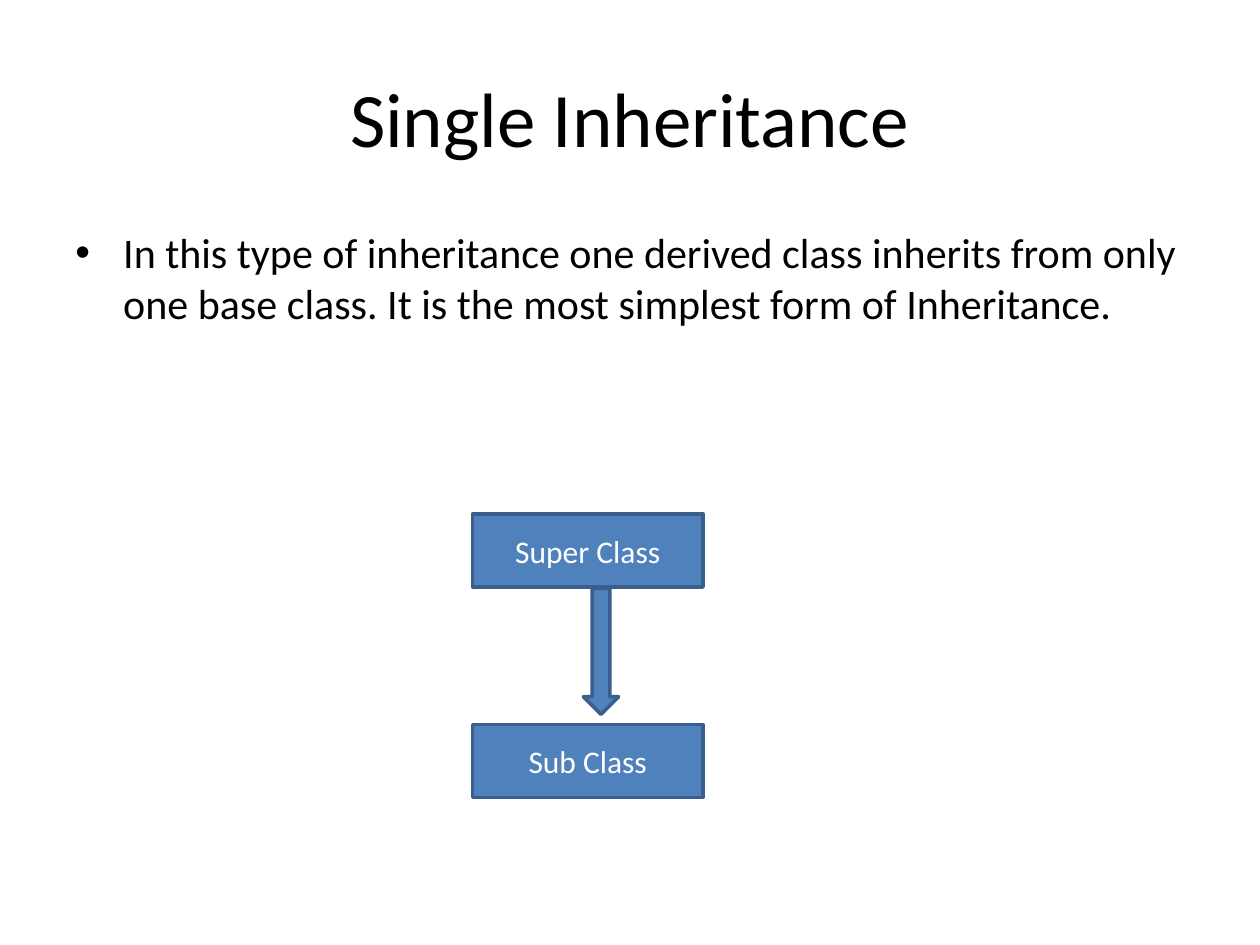
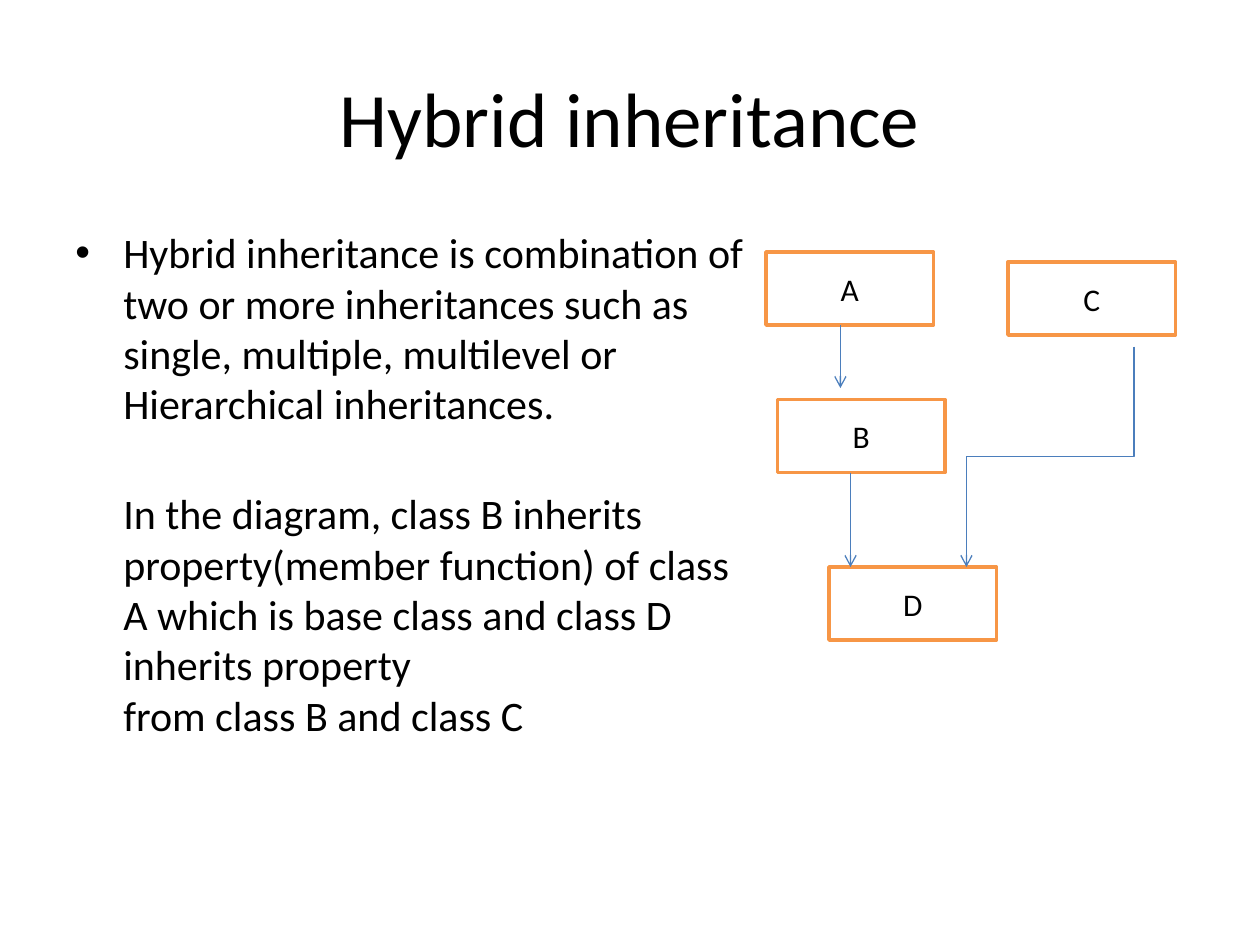
from lxml import etree
from pptx import Presentation
from pptx.dml.color import RGBColor
from pptx.enum.shapes import MSO_CONNECTOR, MSO_SHAPE
from pptx.enum.text import MSO_ANCHOR, PP_ALIGN
from pptx.oxml.ns import qn
from pptx.util import Inches, Pt

RECTANGLE, DOWN_ARROW = MSO_SHAPE.RECTANGLE, MSO_SHAPE.DOWN_ARROW
STRAIGHT, ELBOW = MSO_CONNECTOR.STRAIGHT, MSO_CONNECTOR.ELBOW
CENTER, LEFT = PP_ALIGN.CENTER, PP_ALIGN.LEFT
MIDDLE, TOP = MSO_ANCHOR.MIDDLE, MSO_ANCHOR.TOP

BLACK = RGBColor(0x00, 0x00, 0x00)
WHITE = RGBColor(0xFF, 0xFF, 0xFF)
BLUE = RGBColor(0x4F, 0x81, 0xBD)
DARK_BLUE = RGBColor(0x3A, 0x5F, 0x8C)
LINK_BLUE = RGBColor(0x4B, 0x7E, 0xBC)
ORANGE = RGBColor(0xF7, 0x96, 0x46)

# Shared styles
FONT = "Calibri"
TITLE_AREA = (0.5, 0.3, 9, 1.25)
BODY_LEFT, BODY_TOP, BODY_HEIGHT = 0.5, 1.75, 4.95
BODY_INDENT = 0.38
PARAGRAPH_GAP = 34
BOX_HEIGHT = 0.58
FILLED = {"fill": BLUE, "line": DARK_BLUE, "text": WHITE}
OUTLINED = {"fill": WHITE, "line": ORANGE, "text": BLACK}

# Content: boxes are (label, left, top); links run from point to point
SLIDES = [
    {
        "title": "Single Inheritance",
        "body_width": 9,
        "body": ["In this type of inheritance one derived class inherits from only "
                 "one base class. It is the most simplest form of Inheritance."],
        "style": FILLED,
        "box_width": 1.83,
        "boxes": [("Super Class", 3.75, 4.08), ("Sub Class", 3.75, 5.75)],
        "block_arrows": [(4.63, 4.67, 0.28, 1)],
        "links": [],
    },
    {
        "title": "Hybrid inheritance",
        "body_width": 5.58,
        "body": ["Hybrid inheritance is combination of two or more inheritances such as "
                 "single, multiple, multilevel or Hierarchical inheritances.",
                 "In the diagram, class B inherits property(member function) of class A "
                 "which is base class and class D inherits property\n"
                 "from class B and class C"],
        "style": OUTLINED,
        "box_width": 1.33,
        "boxes": [("A", 6.08, 2), ("B", 6.17, 3.17), ("D", 6.58, 4.5), ("C", 8, 2.08)],
        "block_arrows": [],
        "links": [((6.67, 2.58), (6.67, 3.08)),
                  ((6.75, 3.75), (6.75, 4.5)),
                  ((9, 2.75), (7.67, 4.5))],
    },
]


def write(frame, paragraphs, size, color, align=CENTER, anchor=MIDDLE):
    frame.word_wrap = True
    frame.vertical_anchor = anchor
    for number, text in enumerate(paragraphs):
        para = frame.add_paragraph() if number else frame.paragraphs[0]
        para.alignment = align
        para.space_before = Pt(PARAGRAPH_GAP if number else 0)
        for row, line in enumerate(text.split("\n")):
            if row:
                para.add_line_break()
            span = para.add_run()
            span.text = line
            formats = {"name": FONT, "size": Pt(size)}
            for name, value in formats.items():
                setattr(span.font, name, value)
            span.font.color.rgb = color


def add_text(page, area, *args, **formats):
    box = page.shapes.add_textbox(*map(Inches, area))
    write(box.text_frame, *args, **formats)
    return box


def add_body(page, width, paragraphs):
    area = (BODY_LEFT, BODY_TOP, width, BODY_HEIGHT)
    box = add_text(page, area, paragraphs, 24, BLACK, align=LEFT, anchor=TOP)
    # Only the first paragraph has a bullet; the rest align with its text
    for number, para in enumerate(box.text_frame.paragraphs):
        properties = para._p.get_or_add_pPr()
        properties.set("marL", str(Inches(BODY_INDENT)))
        properties.set("indent", str(0 if number else -Inches(BODY_INDENT)))
        if number == 0:
            etree.SubElement(properties, qn("a:buFont"), typeface="Arial")
            etree.SubElement(properties, qn("a:buChar"), char="•")


def add_block(page, kind, area, style, label=None):
    block = page.shapes.add_shape(kind, *map(Inches, area))
    block.shadow.inherit = False
    block.fill.solid()
    block.fill.fore_color.rgb = style["fill"]
    block.line.color.rgb = style["line"]
    block.line.width = Pt(2)
    if label:
        write(block.text_frame, [label], 18, style["text"])


def add_link(page, start, end):
    (x1, y1), (x2, y2) = start, end
    bent = x1 != x2
    if bent:
        # A quarter turn about the centre makes the elbow leave downwards
        center_x, center_y = (x1 + x2) / 2, (y1 + y2) / 2
        half_width, half_height = abs(y2 - y1) / 2, abs(x2 - x1) / 2
        x1, x2 = center_x - half_width, center_x + half_width
        y1, y2 = center_y - half_height, center_y + half_height
    link = page.shapes.add_connector(ELBOW if bent else STRAIGHT,
                                     *map(Inches, (x1, y1, x2, y2)))
    link.line.color.rgb = LINK_BLUE
    link.line.width = Pt(0.75)
    properties = link._element.spPr
    if bent:
        properties.find(qn("a:xfrm")).set("rot", str(90 * 60000))
    etree.SubElement(properties.find(qn("a:ln")), qn("a:tailEnd"), type="arrow")
    etree.SubElement(properties, qn("a:effectLst"))


def main():
    deck = Presentation()
    deck.slide_width, deck.slide_height = Inches(10), Inches(7.5)
    for content in SLIDES:
        page = deck.slides.add_slide(deck.slide_layouts[6])
        style = content["style"]
        add_text(page, TITLE_AREA, [content["title"]], 44, BLACK)
        add_body(page, content["body_width"], content["body"])
        # Class diagram
        for label, left, top in content["boxes"]:
            area = (left, top, content["box_width"], BOX_HEIGHT)
            add_block(page, RECTANGLE, area, style, label)
        for area in content["block_arrows"]:
            add_block(page, DOWN_ARROW, area, style)
        for start, end in content["links"]:
            add_link(page, start, end)
    deck.save("out.pptx")


if __name__ == "__main__":
    main()
